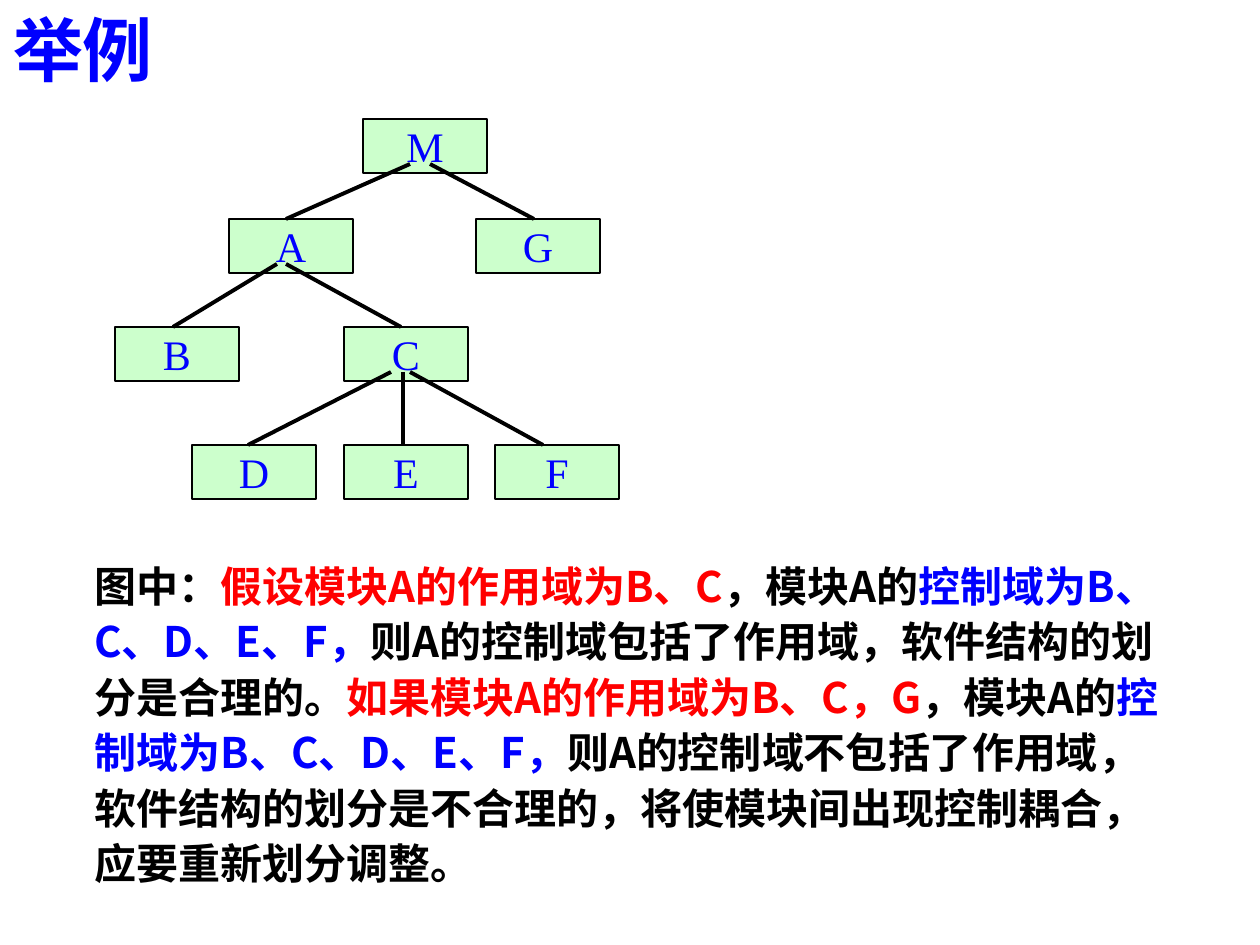
"""Build a slide on a module's scope of effect and scope of control."""
from lxml.etree import SubElement
from pptx import Presentation
from pptx.dml.color import RGBColor
from pptx.enum.shapes import MSO_CONNECTOR as CONN, MSO_SHAPE as SHAPE
from pptx.enum.text import MSO_ANCHOR as ANCHOR, PP_ALIGN as ALIGN
from pptx.oxml.ns import qn
from pptx.util import Pt

PX = 914400 / 126
BLACK = RGBColor(0, 0, 0)
RED = RGBColor(255, 0, 0)
BLUE = RGBColor(0, 0, 255)
GREEN = RGBColor(204, 255, 204)
SANS, SERIF = "Noto Sans CJK SC", "Times New Roman"

TITLE = "举例"
LEVELS = [
    (119, {"M": 363}),
    (219, {"A": 229, "G": 476}),
    (327, {"B": 115, "C": 344}),
    (445, {"D": 192, "E": 344, "F": 495}),
]
BOX_W, BOX_H, LINE_START = 124, 54, 45
EDGES = [
    ("M", 410, "A", 286), ("M", 430, "G", 534),
    ("A", 277, "B", 173), ("A", 286, "C", 401),
    ("C", 391, "D", 248), ("C", 403, "E", 403), ("C", 410, "F", 543),
]
BODY = [
    ("图中：", BLACK),
    ("假设模块A的作用域为B、C", RED),
    ("，模块A的", BLACK),
    ("控制域为B、C、D、E、F，", BLUE),
    ("则A的控制域包括了作用域，软件结构的划分是合理的。", BLACK),
    ("如果模块A的作用域为B、C，G", RED),
    ("，模块A的", BLACK),
    ("控制域为B、C、D、E、F，", BLUE),
    ("则A的控制域不包括了作用域，软件结构的划分是不合理的，"
     "将使模块间出现控制耦合，应要重新划分调整。", BLACK),
]


def px(*values):
    return [round(v * PX) for v in values]


def style(r, size, color, font=SANS, bold=True):
    r.font.size, r.font.bold, r.font.name = Pt(size), bold, font
    r.font.color.rgb = color
    SubElement(r.font._element, qn("a:ea")).set("typeface", font)


def add_box(slide, name, x, y):
    sp = slide.shapes.add_shape(SHAPE.RECTANGLE, *px(x, y, BOX_W, BOX_H))
    sp.shadow.inherit = False
    sp.fill.solid()
    sp.fill.fore_color.rgb = GREEN
    sp.line.color.rgb, sp.line.width = BLACK, Pt(0.75)
    tf = sp.text_frame
    tf.text = name
    tf.vertical_anchor = ANCHOR.TOP
    tf.margin_top, tf.margin_bottom = px(1, 1)
    p = tf.paragraphs[0]
    p.alignment = ALIGN.CENTER
    style(p.runs[0], 24, BLUE, SERIF, False)


def add_edge(slide, x1, y1, x2, y2):
    line = slide.shapes.add_connector(CONN.STRAIGHT, *px(x1, y1, x2, y2))
    line.line.color.rgb, line.line.width = BLACK, Pt(2.25)
    SubElement(line._element.spPr, qn("a:effectLst"))


def add_title(slide):
    sp = slide.shapes.title
    sp.left, sp.top, sp.width, sp.height = px(0, 0, 166, 97)
    tf = sp.text_frame
    tf.text = TITLE
    tf.word_wrap = False
    tf.vertical_anchor = ANCHOR.MIDDLE
    p = tf.paragraphs[0]
    p.alignment = ALIGN.CENTER
    style(p.runs[0], 40, BLUE)


def add_body(slide):
    tf = slide.shapes.add_textbox(*px(82, 549, 1100, 345)).text_frame
    tf.word_wrap = True
    p = tf.paragraphs[0]
    p.line_spacing = Pt(31.7)
    for text, color in BODY:
        r = p.add_run()
        r.text = text
        style(r, 24, color)


def main():
    prs = Presentation()
    prs.slide_width, prs.slide_height = px(1260, 945)
    slide = prs.slides.add_slide(prs.slide_layouts[5])
    add_title(slide)
    tops = {}
    for y, modules in LEVELS:
        for name, x in modules.items():
            tops[name] = y
            add_box(slide, name, x, y)
    for parent, x1, child, x2 in EDGES:
        add_edge(slide, x1, tops[parent] + LINE_START, x2, tops[child])
    add_body(slide)
    prs.save("out.pptx")


if __name__ == "__main__":
    main()
